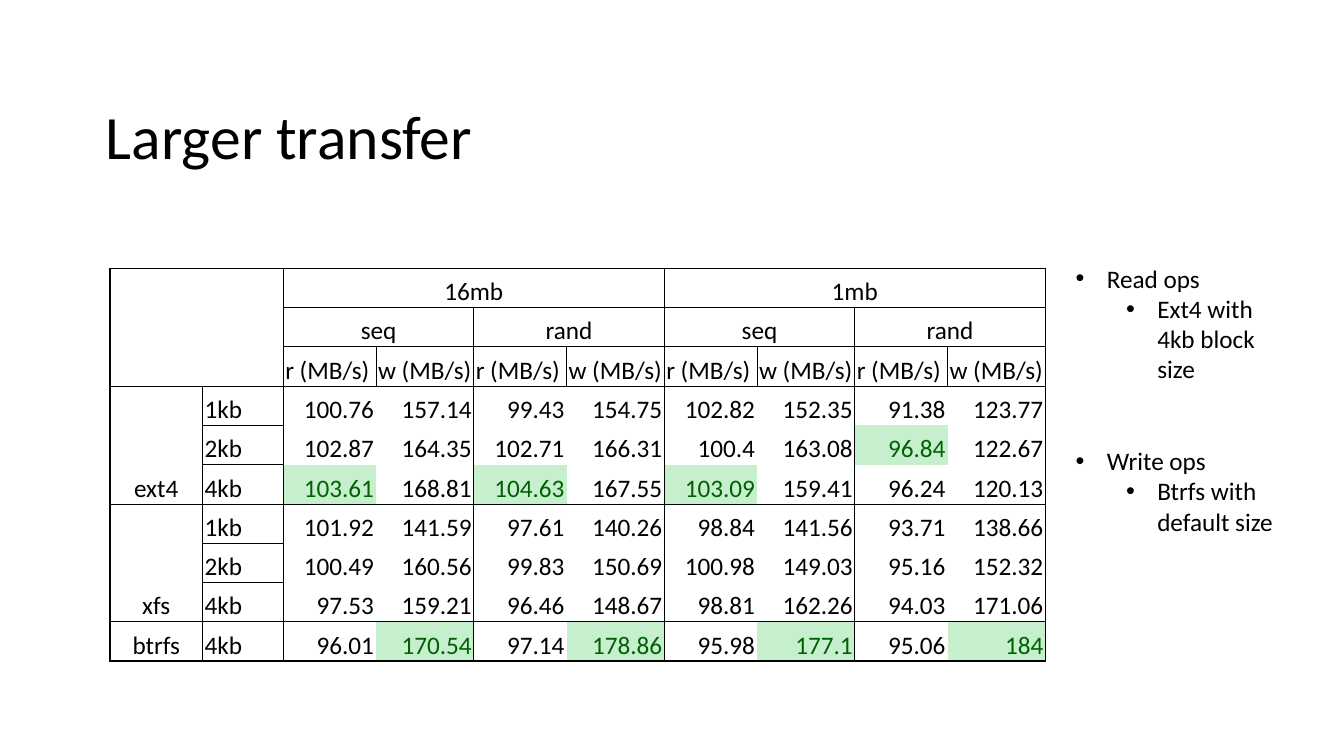
from dataclasses import dataclass

from lxml import etree
from pptx import Presentation
from pptx.dml.color import RGBColor
from pptx.enum.text import MSO_ANCHOR, MSO_AUTO_SIZE, PP_ALIGN
from pptx.oxml.ns import qn
from pptx.slide import Slide
from pptx.table import Table
from pptx.text.text import _Paragraph
from pptx.util import Inches, Pt

BLACK = RGBColor(0x00, 0x00, 0x00)
GREEN = RGBColor(0x00, 0x61, 0x00)
MINT = RGBColor(0xC6, 0xEF, 0xCE)
FONT = "Calibri"
LEFT, MID, RIGHT = PP_ALIGN.LEFT, PP_ALIGN.CENTER, PP_ALIGN.RIGHT
BASE, CENTRE = MSO_ANCHOR.BOTTOM, MSO_ANCHOR.MIDDLE
GROW = MSO_AUTO_SIZE.SHAPE_TO_FIT_TEXT

THIN, THICK = 0.5, 1.0
ROW_H = 0.39
WIDTHS = [0.92, 0.8] + [0.92, 0.97] * 4
HEADS = 3
GROUPS = (3, 6, 9)  # first row of each file system


@dataclass
class Result:
    system: str
    block: str
    rates: list[str]
    best: tuple[int, ...] = ()


@dataclass
class Note:
    text: str
    level: int = 0
    gap: float = 0


RESULTS = [
    Result("ext4", "1kb", ["100.76", "157.14", "99.43", "154.75",
                           "102.82", "152.35", "91.38", "123.77"]),
    Result("", "2kb", ["102.87", "164.35", "102.71", "166.31",
                       "100.4", "163.08", "96.84", "122.67"], (6,)),
    Result("", "4kb", ["103.61", "168.81", "104.63", "167.55",
                       "103.09", "159.41", "96.24", "120.13"], (0, 2, 4)),
    Result("xfs", "1kb", ["101.92", "141.59", "97.61", "140.26",
                          "98.84", "141.56", "93.71", "138.66"]),
    Result("", "2kb", ["100.49", "160.56", "99.83", "150.69",
                       "100.98", "149.03", "95.16", "152.32"]),
    Result("", "4kb", ["97.53", "159.21", "96.46", "148.67",
                       "98.81", "162.26", "94.03", "171.06"]),
    Result("btrfs", "4kb", ["96.01", "170.54", "97.14", "178.86",
                            "95.98", "177.1", "95.06", "184"], (1, 3, 5, 7)),
]
ROWS, COLS = HEADS + len(RESULTS), len(WIDTHS)

NOTES = [
    Note("Read ops"),
    Note("Ext4 with 4kb block size", 1),
    Note("Write ops", gap=44),
    Note("Btrfs with default size", 1),
]


def style(para: _Paragraph, size: float, color: RGBColor = BLACK) -> None:
    for run in para.runs:
        run.font.name = FONT
        run.font.size = Pt(size)
        run.font.color.rgb = color


def side_line(row: int, col: int) -> float:
    """Width of the line on the left of a column, 0 for none."""
    if col in (0, COLS):
        return THICK
    if row >= HEADS:
        shown = col == 1 or col % 2 == 0
    else:
        step = (4, 2, 1)[row]
        shown = col >= 2 and (col - 2) % step == 0
    return THIN if shown else 0


def top_line(row: int, col: int) -> float:
    """Width of the line above a row, 0 for none."""
    if row in (0, ROWS):
        return THICK
    shown = row in GROUPS or (col >= 2 if row < HEADS else col == 1)
    return THIN if shown else 0


def border(cell, side: str, width: float) -> None:
    props = cell._tc.get_or_add_tcPr()
    line = etree.SubElement(props, qn(f"a:ln{side}"), w=str(Pt(width)))
    if width:
        fill = etree.SubElement(line, qn("a:solidFill"))
        etree.SubElement(fill, qn("a:srgbClr"), val=str(BLACK))
    else:
        etree.SubElement(line, qn("a:noFill"))


def draw_cell(table: Table, row: int, col: int, text: str,
              align: PP_ALIGN, best: bool) -> None:
    cell = table.cell(row, col)
    cell.margin_left = cell.margin_right = cell.margin_top = Inches(0.02)
    cell.margin_bottom = 0
    cell.vertical_anchor = BASE
    wide = cell.span_width if cell.is_merge_origin else 1
    high = cell.span_height if cell.is_merge_origin else 1
    border(cell, "L", side_line(row, col))
    border(cell, "R", side_line(row, col + wide))
    border(cell, "T", top_line(row, col))
    border(cell, "B", top_line(row + high, col))
    if best:
        cell.fill.solid()
        cell.fill.fore_color.rgb = MINT
    else:
        cell.fill.background()
    if text:
        cell.text_frame.text = text
        para = cell.text_frame.paragraphs[0]
        para.alignment = align
        style(para, 18, GREEN if best else BLACK)


def draw_table(slide: Slide) -> None:
    frame = slide.shapes.add_table(ROWS, COLS, Inches(1.09), Inches(2.66),
                                   Inches(sum(WIDTHS)), Inches(ROW_H * ROWS))
    table = frame.table
    table.first_row = table.horz_banding = False
    for col, width in enumerate(WIDTHS):
        table.columns[col].width = Inches(width)
    for row in table.rows:
        row.height = Inches(ROW_H)

    # Joined cells
    for row, step in ((0, 4), (1, 2)):
        for col in range(2, COLS, step):
            table.cell(row, col).merge(table.cell(row, col + step - 1))
    for row in GROUPS[:2]:
        table.cell(row, 0).merge(table.cell(row + 2, 0))

    # Header rows, then results
    blank = ["", ""]
    heads = [blank + ["16mb", "", "", "", "1mb", "", "", ""],
             blank + ["seq", "", "rand", ""] * 2,
             blank + ["r (MB/s)", "w (MB/s)"] * 4]
    for row, texts in enumerate(heads):
        align = LEFT if row == 2 else MID
        for col, text in enumerate(texts):
            draw_cell(table, row, col, text, align, False)
    aligns = [MID, LEFT] + [RIGHT] * 8
    for row, item in enumerate(RESULTS, HEADS):
        texts = [item.system, item.block] + item.rates
        for col, text in enumerate(texts):
            draw_cell(table, row, col, text, aligns[col], col - 2 in item.best)


def draw_notes(slide: Slide) -> None:
    box = slide.shapes.add_textbox(Inches(10.57), Inches(2.56),
                                   Inches(2.2), Inches(2.83))
    frame = box.text_frame
    frame.word_wrap = True
    frame.auto_size = GROW
    frame.text = "\n".join(note.text for note in NOTES)
    for note, para in zip(NOTES, frame.paragraphs):
        para.level = note.level
        para.space_before = Pt(note.gap)
        style(para, 18)
        props = para._p.get_or_add_pPr()
        props.set("marL", str(Inches(0.31 + 0.5 * note.level)))
        props.set("indent", str(Inches(-0.31)))
        etree.SubElement(props, qn("a:buFont"), typeface="Arial")
        etree.SubElement(props, qn("a:buChar"), char="•")


def draw_title(slide: Slide) -> None:
    title = slide.shapes.title
    title.left, title.top = Inches(0.95), Inches(0.66)
    title.width, title.height = Inches(11.43), Inches(1.45)
    frame = title.text_frame
    frame.text = "Larger transfer"
    frame.vertical_anchor = CENTRE
    para = frame.paragraphs[0]
    para.alignment = LEFT
    para.line_spacing = 0.9
    style(para, 44)


def main() -> None:
    deck = Presentation()
    deck.slide_width, deck.slide_height = Inches(13.33), Inches(7.5)
    slide = deck.slides.add_slide(deck.slide_layouts[5])
    draw_title(slide)
    draw_table(slide)
    draw_notes(slide)
    deck.save("out.pptx")


if __name__ == "__main__":
    main()
